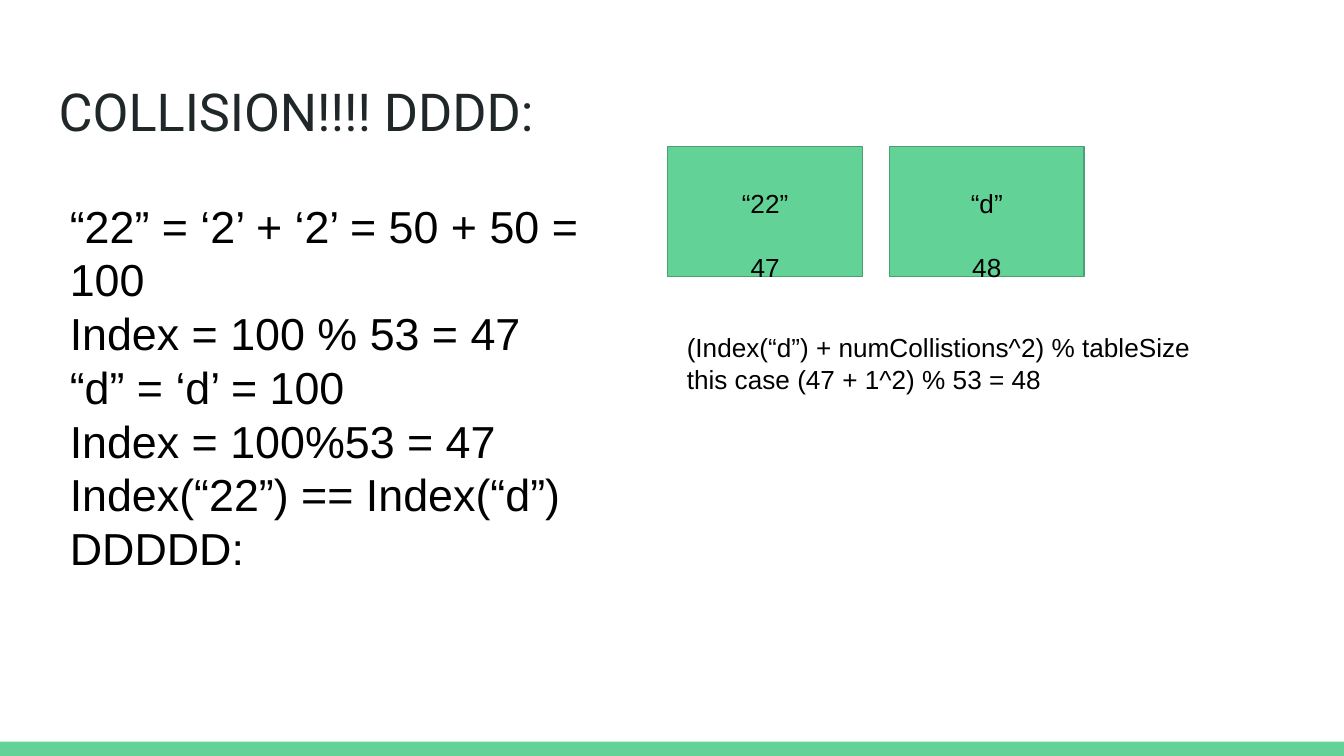
from pptx import Presentation
from pptx.dml.color import RGBColor
from pptx.enum import shapes, text
from pptx.util import Cm, Pt

GREEN = RGBColor(0x63, 0xD2, 0x97)
DARK_GREEN = RGBColor(0x4B, 0xA1, 0x73)
INK = RGBColor(0x20, 0x27, 0x29)
BLACK = RGBColor(0, 0, 0)

TITLE_ONLY = 5
SLIDE_WIDTH, SLIDE_HEIGHT = Cm(25.4), Cm(14.29)
BAR_HEIGHT = Cm(0.27)
MARGIN = Cm(0.25)
CARD_WIDTH, CARD_HEIGHT, CARD_PITCH = Cm(3.68), Cm(2.46), Cm(4.19)

CALCULATION = [
    "“22” = ‘2’ + ‘2’ = 50 + 50 = 100",
    "Index = 100 % 53 = 47",
    "“d” = ‘d’ = 100",
    "Index = 100%53 = 47",
    "Index(“22”) == Index(“d”)",
    "DDDDD:",
]
PROBING = [
    "(Index(“d”) + numCollistions^2) % tableSize",
    "this case (47 + 1^2) % 53 = 48",
]
CARDS = [("“22”", "47"), ("“d”", "48")]


def write_lines(shape, lines, size, font="Arial", color=BLACK,
                align=text.PP_ALIGN.LEFT, gap=0):
    """Fill the shape with one paragraph per line, gap points apart."""
    frame = shape.text_frame
    frame.word_wrap = True
    frame.auto_size = text.MSO_AUTO_SIZE.NONE
    frame.vertical_anchor = text.MSO_ANCHOR.TOP
    frame.margin_left = frame.margin_right = MARGIN
    frame.margin_top = frame.margin_bottom = MARGIN
    for number, line in enumerate(lines):
        paragraph = frame.paragraphs[0] if number == 0 else frame.add_paragraph()
        paragraph.alignment = align
        paragraph.line_spacing = 1.0
        paragraph.space_before = Pt(gap if number else 0)
        run = paragraph.add_run()
        run.text = line
        run.font.name = font
        run.font.size = Pt(size)
        run.font.color.rgb = color


def add_rectangle(container, left, top, width, height):
    rectangle = container.add_shape(
        shapes.MSO_SHAPE.RECTANGLE, left, top, width, height)
    rectangle.shadow.inherit = False
    rectangle.fill.solid()
    rectangle.fill.fore_color.rgb = GREEN
    return rectangle


def add_title(slide, left, top, width, height):
    title = slide.shapes.title
    title.left, title.top, title.width, title.height = left, top, width, height
    write_lines(title, ["COLLISION!!!! DDDD:"], 28, "Roboto", INK)


def add_text(slide, lines, size, left, top, width, height):
    box = slide.shapes.add_textbox(left, top, width, height)
    write_lines(box, lines, size)


def add_card(slide, key, index, left, top, width, height):
    """Draw one hash table slot: its key above its index."""
    group = slide.shapes.add_group_shape()
    slot = add_rectangle(group.shapes, left, top, width, height)
    slot.line.color.rgb = DARK_GREEN
    slot.line.width = Pt(0.75)
    inset_x, inset_y = Cm(0.43), Cm(0.53)
    label = group.shapes.add_textbox(
        left + inset_x, top + inset_y, width - 2 * inset_x, height - 2 * inset_y)
    write_lines(label, [key, index], 14, align=text.PP_ALIGN.CENTER, gap=17)


def add_footer_bar(slide, left, top, width, height):
    bar = add_rectangle(slide.shapes, left, top, width, height)
    bar.line.fill.background()


def main():
    presentation = Presentation()
    presentation.slide_width = SLIDE_WIDTH
    presentation.slide_height = SLIDE_HEIGHT
    slide = presentation.slides.add_slide(presentation.slide_layouts[TITLE_ONLY])

    add_footer_bar(slide, 0, SLIDE_HEIGHT - BAR_HEIGHT, SLIDE_WIDTH, BAR_HEIGHT)
    add_title(slide, Cm(0.86), Cm(1.24), Cm(23.67), Cm(1.6))
    add_text(slide, CALCULATION, 24, Cm(1.07), Cm(3.5), Cm(11.73), Cm(7.49))
    for column, (key, index) in enumerate(CARDS):
        add_card(slide, key, index, Cm(12.62) + column * CARD_PITCH, Cm(2.77),
                 CARD_WIDTH, CARD_HEIGHT)
    add_text(slide, PROBING, 14, Cm(12.73), Cm(6.02), Cm(10.34), Cm(2.13))

    presentation.save("out.pptx")


if __name__ == "__main__":
    main()
